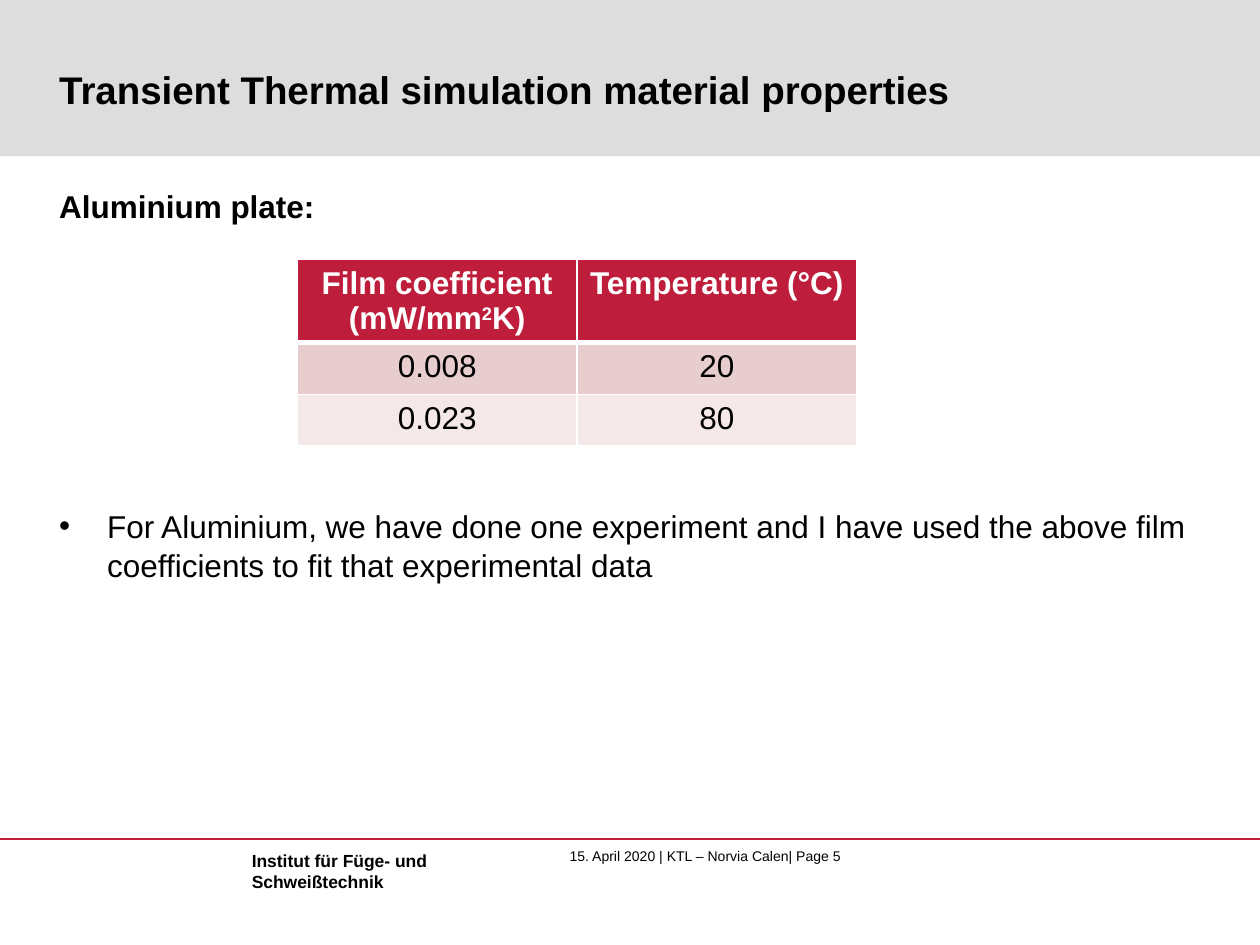
import dataclasses

import lxml.etree
import pptx
import pptx.dml.color
import pptx.enum.shapes
import pptx.enum.text
import pptx.oxml
import pptx.oxml.ns
import pptx.util

Inches, Pt = pptx.util.Inches, pptx.util.Pt
RGB = pptx.dml.color.RGBColor.from_string
qn = pptx.oxml.ns.qn
ALIGN = pptx.enum.text.PP_ALIGN
ANCHOR = pptx.enum.text.MSO_ANCHOR
FIT = pptx.enum.text.MSO_AUTO_SIZE


@dataclasses.dataclass(frozen=True)
class Theme:
    font: str = "Arial"
    ink: str = "000000"
    white: str = "FFFFFF"
    band: str = "DDDDDD"
    red: str = "BE1E3C"
    rows: tuple = ("E8CDCE", "F4E8E8")
    title: int = 22
    text: int = 18
    institute: int = 10
    footer: int = 8


THEME = Theme()
WIDTH, HEIGHT = 10, 7.5
MARGIN = 0.47
BAND_HEIGHT = 1.24
FOOTER_LINE = 6.66


def style(p, size, bold=False, color=THEME.ink):
    for r in p.runs:
        r.font.name = THEME.font
        r.font.size = Pt(size)
        r.font.bold = bold
        r.font.color.rgb = RGB(color)


def place(sp, left, top, width, height):
    sp.left, sp.top = Inches(left), Inches(top)
    sp.width, sp.height = Inches(width), Inches(height)


def set_frame(tf, anchor=ANCHOR.TOP, inset=0):
    tf.auto_size = FIT.NONE
    tf.word_wrap = True
    tf.vertical_anchor = anchor
    tf.margin_left = tf.margin_right = Inches(inset)
    tf.margin_top = tf.margin_bottom = Inches(inset / 2)


def set_bullet(p, char=None, indent=0.0):
    pPr = p._p.get_or_add_pPr()
    pPr.set("marL", str(Inches(indent)))
    pPr.set("indent", str(-Inches(indent)))
    if char:
        lxml.etree.SubElement(pPr, qn("a:buChar")).set("char", char)
    else:
        lxml.etree.SubElement(pPr, qn("a:buNone"))


def add_band(slide):
    sp = slide.shapes.add_shape(pptx.enum.shapes.MSO_SHAPE.RECTANGLE, 0, 0,
                                Inches(WIDTH), Inches(BAND_HEIGHT))
    sp.shadow.inherit = False
    sp.fill.solid()
    sp.fill.fore_color.rgb = RGB(THEME.band)
    sp.line.fill.background()
    # Send the band behind the placeholders
    slide.shapes.element.insert(2, sp.element)


def add_rule(slide):
    y = Inches(FOOTER_LINE)
    line = slide.shapes.add_connector(
        pptx.enum.shapes.MSO_CONNECTOR.STRAIGHT, 0, y, Inches(WIDTH), y)
    line.line.color.rgb = RGB(THEME.red)
    line.line.width = Pt(0.75)
    lxml.etree.SubElement(line.element.spPr, qn("a:effectLst"))


def add_label(slide, lines, box, size, bold=False, inset=0):
    sp = slide.shapes.add_textbox(0, 0, 0, 0)
    place(sp, *box)
    tf = sp.text_frame
    set_frame(tf, inset=inset)
    tf.text = "\n".join(lines)
    for p in tf.paragraphs:
        style(p, size, bold)


def fill_title(slide, text):
    sp = slide.shapes.title
    place(sp, MARGIN, 0.12, 9.16, 0.77)
    tf = sp.text_frame
    set_frame(tf, ANCHOR.BOTTOM)
    tf.text = text
    p = tf.paragraphs[0]
    p.alignment = ALIGN.LEFT
    style(p, THEME.title, bold=True)


def fill_body(slide, heading, bullet):
    sp = slide.placeholders[1]
    place(sp, MARGIN, 1.47, 9.15, 5.06)
    tf = sp.text_frame
    set_frame(tf)
    tf.text = f"{heading}\n{bullet}"
    first, second = tf.paragraphs
    for p in (first, second):
        p.line_spacing = 1.05
        p.space_before = Pt(0)
    # The gap leaves room for the table
    second.space_before = Pt(160)
    set_bullet(first)
    set_bullet(second, "•", 0.38)
    style(first, THEME.text, bold=True)
    style(second, THEME.text)


def set_borders(cell, widths):
    tcPr = cell._tc.get_or_add_tcPr()
    for i, (side, width) in enumerate(widths.items()):
        ln = lxml.etree.Element(qn(f"a:ln{side}"), w=str(Pt(width)))
        fill = lxml.etree.SubElement(ln, qn("a:solidFill"))
        lxml.etree.SubElement(fill, qn("a:srgbClr")).set("val", THEME.white)
        tcPr.insert(i, ln)


def add_table(slide, rows, box, heights):
    table = slide.shapes.add_table(
        len(rows), len(rows[0]), *(Inches(v) for v in box)).table
    for row, height in zip(table.rows, heights):
        row.height = Inches(height)
    for i, row in enumerate(rows):
        header = i == 0
        for j, parts in enumerate(row):
            cell = table.cell(i, j)
            cell.fill.solid()
            cell.fill.fore_color.rgb = RGB(THEME.red if header else THEME.rows[i - 1])
            set_borders(cell, {"L": 1, "R": 1, "T": 3 if i == 1 else 1,
                               "B": 3 if header else 1})
            p = cell.text_frame.paragraphs[0]
            p.alignment = ALIGN.CENTER
            for part in parts:
                p.add_run().text = part
            style(p, THEME.text, header, THEME.white if header else THEME.ink)
            # A second part is an exponent
            if len(parts) > 1:
                p.runs[1].font._element.set("baseline", "30000")


def main():
    prs = pptx.Presentation()
    prs.slide_width, prs.slide_height = Inches(WIDTH), Inches(HEIGHT)
    slide = prs.slides.add_slide(prs.slide_layouts[1])

    # Header and footer
    add_band(slide)
    add_rule(slide)
    add_label(slide, ["15. April 2020 | KTL – Norvia Calen| Page 5"],
              (4.52, 6.73, 5.48, 0.27), THEME.footer)
    add_label(slide, ["Institut für Füge- und", "Schweißtechnik"],
              (1.9, 6.7, 1.8, 0.43), THEME.institute, bold=True, inset=0.1)

    # Content
    fill_title(slide, "Transient Thermal simulation material properties")
    fill_body(slide, "Aluminium plate:",
              "For Aluminium, we have done one experiment and I have used the "
              "above film coefficients to fit that experimental data")
    add_table(slide, [
        [["Film coefficient (mW/mm", "2", "K)"], ["Temperature (°C)"]],
        [["0.008"], ["20"]],
        [["0.023"], ["80"]],
    ], (2.36, 2.06, 4.44, 1.47), (0.65, 0.41, 0.41))

    prs.save("out.pptx")


if __name__ == "__main__":
    main()
